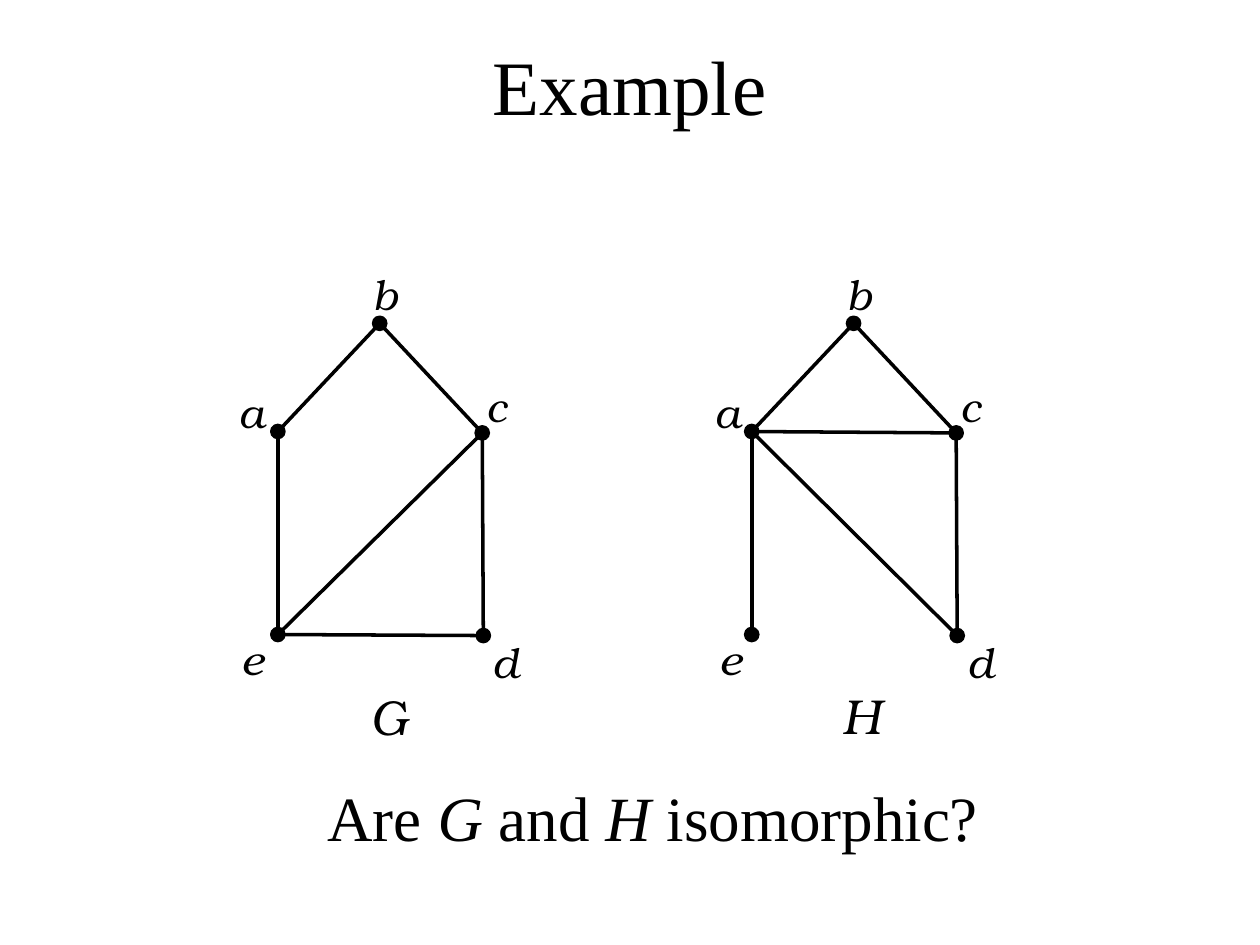
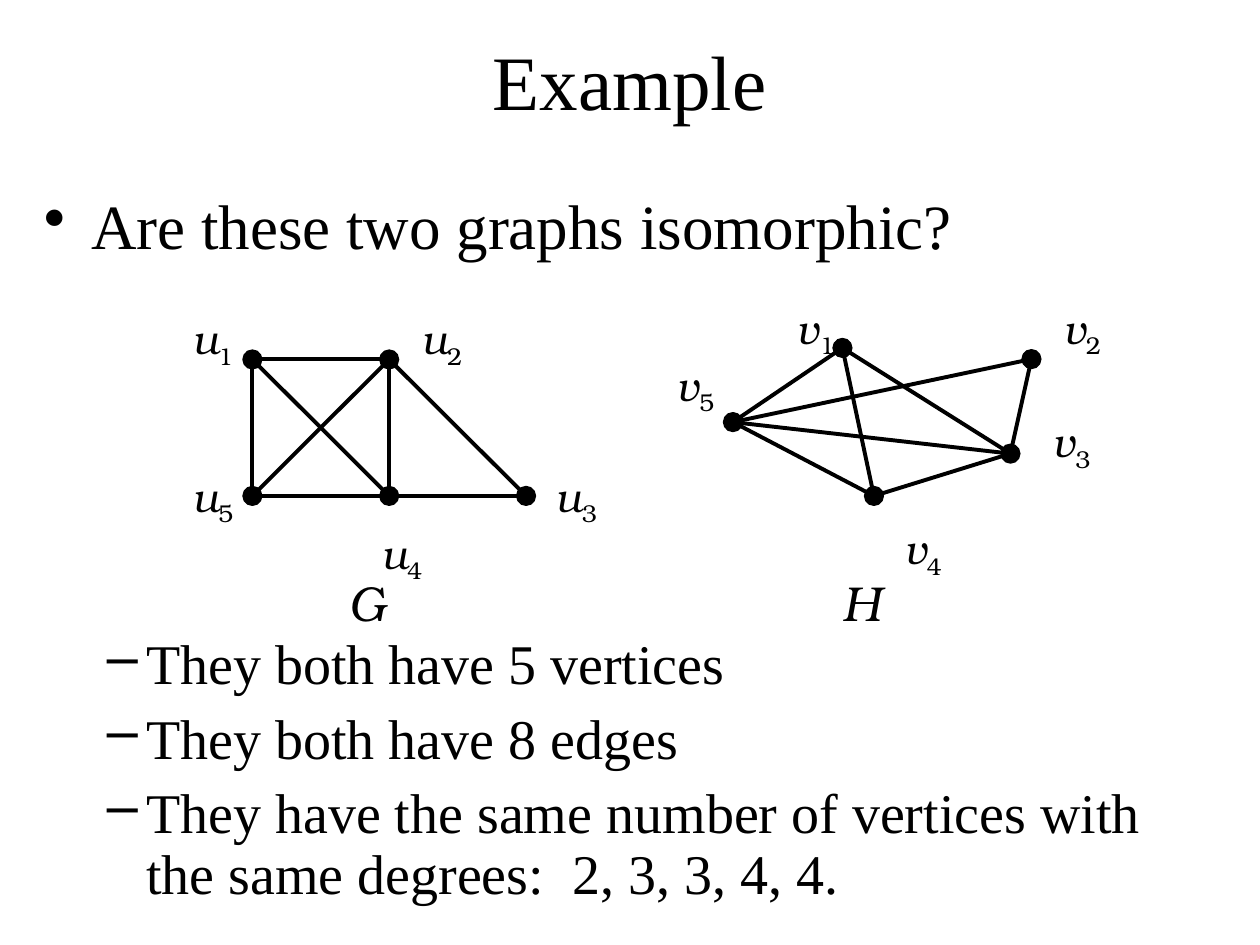
import pptx
import pptx.util
import pptx.dml.color
import pptx.enum.shapes
import pptx.enum.text
import pptx.oxml.ns
import lxml.etree

Pt = pptx.util.Pt
Kind = pptx.enum.shapes.MSO_SHAPE
Align = pptx.enum.text.PP_ALIGN
Anchor = pptx.enum.text.MSO_ANCHOR

INK = "000000"
SERIF = "Times New Roman"
MATH = "TeX Gyre Bonum"
INSET = (7.2, 3.6)

TITLE = "Example"
ASK = [("Are ", ""), ("G", "i"), (" and ", ""), ("H", "i"), (" isomorphic?", "")]
TOPIC = ["Are these two graphs isomorphic?"]
FACTS = [
    "They both have 5 vertices",
    "They both have 8 edges",
    "They have the same number of vertices with the same degrees:  2, 3, 3, 4, 4.",
]

HOUSE = {"a": (158.8, 246.6), "b": (217, 184.8), "c": (275.6, 247.4),
         "d": (276.2, 363.2), "e": (158.8, 362.6)}
SHIFT = 270.8
LEFT, MID, RIGHT = (144.2 + 78.2 * step for step in range(3))
HIGH, LOW = 205.4, 283.4

SMALL = {"dot": 8, "rim": 1, "line": 2}
LARGE = {"dot": 10.8, "rim": 0.75, "line": 2.25}

FIRST = [
    {"name": ("G", 211.7, 392.4),
     "dots": HOUSE,
     "edges": ["ab", "bc", "cd", "de", "ea", "ce"],
     "tags": {"a": (136.1, 221), "b": (213.1, 153.4), "c": (277.9, 217.4),
              "d": (281.5, 363.6), "e": (138.2, 362.2)}},
    {"name": ("H", 481.7, 391.7),
     "dots": {key: (x + SHIFT, y) for key, (x, y) in HOUSE.items()},
     "edges": ["ab", "bc", "cd", "ac", "ad", "ae"],
     "tags": {"a": (408.2, 221), "b": (483.8, 153.4), "c": (548.6, 217.4),
              "d": (553, 363.6), "e": (411.1, 362.2)}},
]
SECOND = [
    {"name": ("G", 199.4, 326.9),
     "dots": {"u1": (LEFT, HIGH), "u2": (MID, HIGH), "u3": (RIGHT, LOW),
              "u4": (MID, LOW), "u5": (LEFT, LOW)},
     "square": ("u1", "u4"),
     "edges": ["14", "52", "23", "43"],
     "tags": {"u1": (109.8, 178.6), "u2": (240.6, 178.6), "u3": (317.6, 268.6),
              "u4": (217.8, 301.2), "u5": (109.8, 268.6)}},
    {"name": ("H", 481.7, 326.9),
     "dots": {"v1": (481.4, 198.8), "v2": (589.4, 205.2), "v3": (577.4, 259.2),
              "v4": (499.4, 283.4), "v5": (418.8, 241.2)},
     "edges": ["51", "52", "13", "54", "43", "23", "14", "53"],
     "tags": {"v1": (455.4, 172.8), "v2": (607.6, 172.8), "v3": (601.6, 237.6),
              "v4": (516.6, 298.8), "v5": (386.6, 205.2)}},
]


def tint(code):
    return pptx.dml.color.RGBColor.from_string(code)


def style(para, size, face):
    para.font.size = Pt(size)
    para.font.name = face
    para.font.color.rgb = tint(INK)


def frame(slide, area, inset=(0, 0)):
    text = slide.shapes.add_textbox(*map(Pt, area)).text_frame
    text.word_wrap = True
    text.margin_left = text.margin_right = Pt(inset[0])
    text.margin_top = text.margin_bottom = Pt(inset[1])
    return text


def write(para, runs, size, face):
    style(para, size, face)
    for words, mode in runs:
        run = para.add_run()
        run.text = words
        if mode == "i":
            run.font.italic = True
        if mode == "sub":
            run._r.get_or_add_rPr().set("baseline", "-25000")


def title(slide, tall):
    text = frame(slide, (36, 12.2, 648, tall), INSET)
    text.vertical_anchor = Anchor.MIDDLE
    para = text.paragraphs[0]
    para.alignment = Align.CENTER
    write(para, [(TITLE, "")], 44, SERIF)


def bullets(slide, area, items, mark, size, indent, hang, gap):
    text = frame(slide, area, INSET)
    for spot, item in enumerate(items):
        para = text.add_paragraph() if spot else text.paragraphs[0]
        para.line_spacing = 0.9
        para.space_before = Pt(gap if spot else 0)
        props = para._p.get_or_add_pPr()
        props.set("marL", str(Pt(indent)))
        props.set("indent", str(-Pt(hang)))
        sign = lxml.etree.SubElement(props, pptx.oxml.ns.qn("a:buChar"))
        sign.set("char", mark)
        write(para, [(item, "")], size, SERIF)


def stroke(item, width):
    item.line.color.rgb = tint(INK)
    item.line.width = Pt(width)


def edge(slide, start, end, width):
    line = slide.shapes.add_connector(
        pptx.enum.shapes.MSO_CONNECTOR.STRAIGHT, *map(Pt, start + end))
    stroke(line, width)
    lxml.etree.SubElement(line._element.spPr, pptx.oxml.ns.qn("a:effectLst"))


def shape(slide, kind, area, width, filled):
    item = slide.shapes.add_shape(kind, *map(Pt, area))
    item.shadow.inherit = False
    if filled:
        item.fill.solid()
        item.fill.fore_color.rgb = tint(INK)
    else:
        item.fill.background()
    stroke(item, width)


def graph(slide, data, look):
    dots = data["dots"]
    ends = {key[-1]: spot for key, spot in dots.items()}
    if "square" in data:
        (x, y), (far, base) = (dots[key] for key in data["square"])
        shape(slide, Kind.RECTANGLE, (x, y, far - x, base - y), look["line"], False)
    for start, end in data["edges"]:
        edge(slide, ends[start], ends[end], look["line"])
    size = look["dot"]
    for x, y in dots.values():
        shape(slide, Kind.OVAL, (x - size / 2, y - size / 2, size, size), look["rim"], True)
    for key, (x, y) in data["tags"].items():
        runs = [(key[0], "i")] + [(digit, "sub") for digit in key[1:]]
        wide = 23 if len(key) == 1 else 36
        write(frame(slide, (x, y, wide, 28.8)).paragraphs[0], runs, 24, MATH)
    name, x, y = data["name"]
    write(frame(slide, (x, y, 30, 33.6)).paragraphs[0], [(name, "i")], 28, MATH)


def main():
    deck = pptx.Presentation()
    deck.slide_width, deck.slide_height = Pt(720), Pt(540)
    blank = deck.slide_layouts[6]

    slide = deck.slides.add_slide(blank)
    title(slide, 72)
    for data in FIRST:
        graph(slide, data, SMALL)
    write(frame(slide, (180, 441.4, 390, 50.4), INSET).paragraphs[0], ASK, 36, SERIF)

    slide = deck.slides.add_slide(blank)
    title(slide, 66.2)
    bullets(slide, (18, 108, 666, 54), TOPIC, "•", 36, 27, 27, 9)
    for data in SECOND:
        graph(slide, data, LARGE)
    bullets(slide, (18, 360, 684, 167.8), FACTS, "–", 32, 58.5, 22.5, 8)

    deck.save("out.pptx")


if __name__ == "__main__":
    main()
